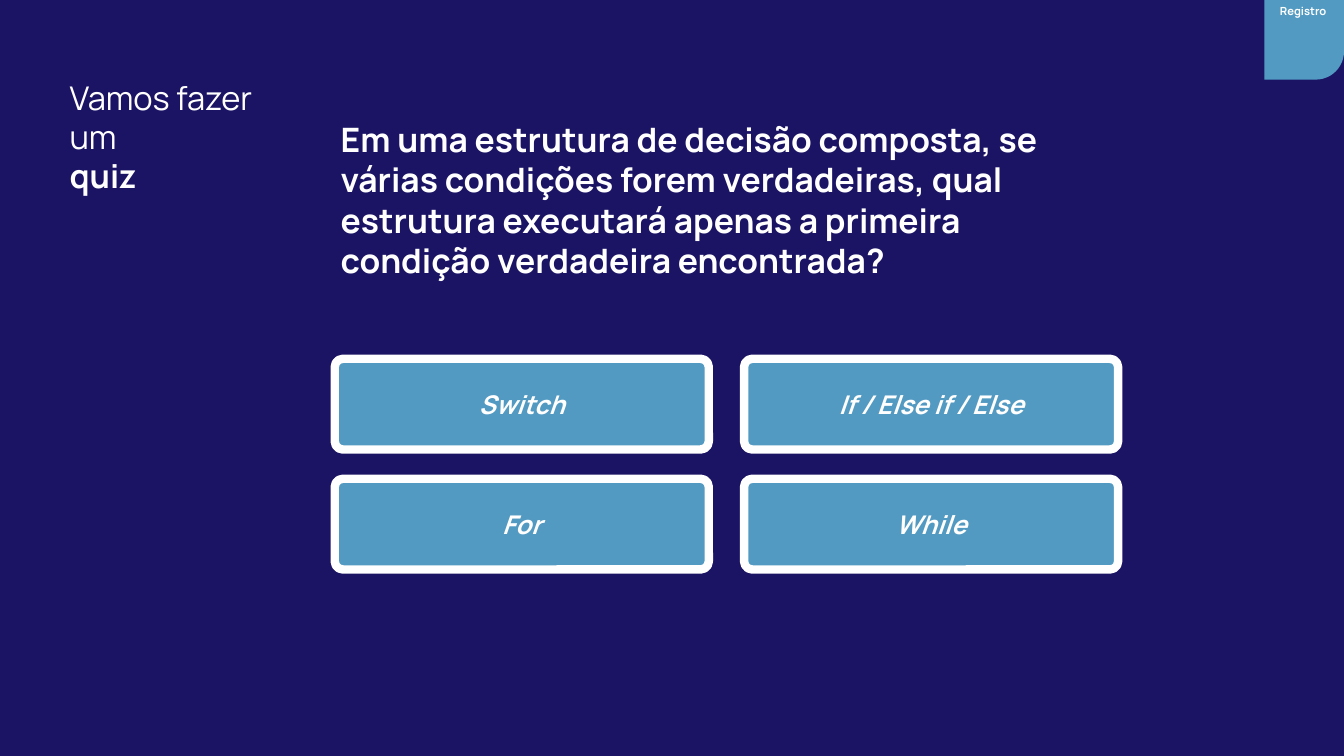
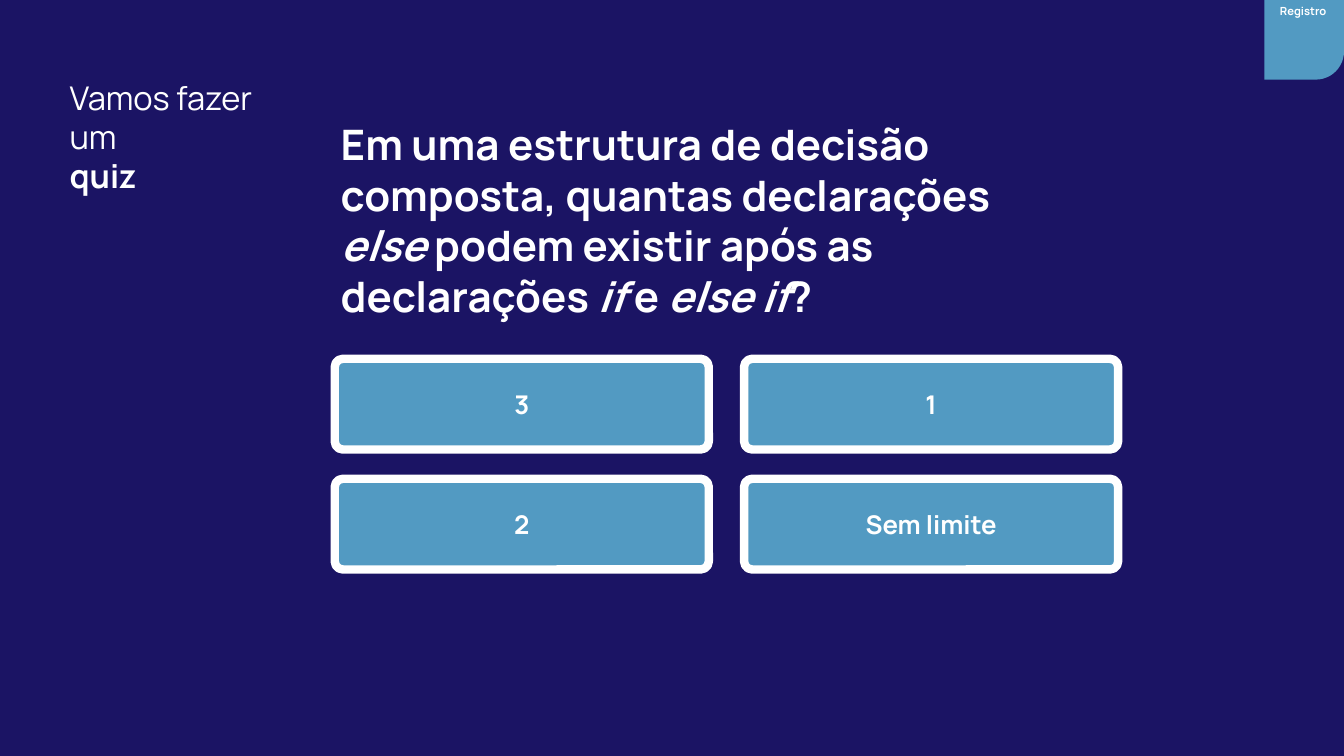
from dataclasses import dataclass

from pptx import Presentation
from pptx.dml.color import RGBColor
from pptx.enum.shapes import MSO_SHAPE
from pptx.enum.text import MSO_ANCHOR, PP_ALIGN
from pptx.util import Inches, Pt

ROUNDED = MSO_SHAPE.ROUNDED_RECTANGLE
ONE_ROUND_CORNER = MSO_SHAPE.ROUND_1_RECTANGLE
TOP, MIDDLE = MSO_ANCHOR.TOP, MSO_ANCHOR.MIDDLE
LEFT, CENTER = PP_ALIGN.LEFT, PP_ALIGN.CENTER
BLANK_LAYOUT = 6


@dataclass(frozen=True)
class Theme:
    font: str = "Manrope"
    navy: RGBColor = RGBColor(0x1B, 0x14, 0x64)
    blue: RGBColor = RGBColor(0x52, 0x9A, 0xC2)
    white: RGBColor = RGBColor(0xFF, 0xFF, 0xFF)
    heading_size: float = 23.3
    answer_size: float = 18.4
    tag_size: float = 8
    border: float = 6


SLIDE_WIDTH, SLIDE_HEIGHT = 13.33, 7.5
TAG_SIDE = 0.79
ANSWER_LEFT, ANSWER_TOP = 3.32, 3.56
ANSWER_WIDTH, ANSWER_HEIGHT = 3.71, 0.9
COLUMN_STEP, ROW_STEP = 4.06, 1.19

# Each question is a list of (text, italic) runs; answers fill the grid row by row.
QUIZ = [
    {
        "question": [
            ("Em uma estrutura de decisão composta, se várias condições forem "
             "verdadeiras, qual estrutura executará apenas a primeira condição "
             "verdadeira encontrada?", False),
        ],
        "size": 24,
        "width": 7.63,
        "answers": ["Switch", "If / Else if / Else", "For", "While"],
        "italic_answers": True,
    },
    {
        "question": [
            ("Em uma estrutura de decisão composta, quantas declarações ", False),
            ("else", True),
            (" podem existir após as declarações ", False),
            ("if", True),
            (" e ", False),
            ("else if", True),
            ("?", False),
        ],
        "size": 30,
        "width": 7.3,
        "answers": ["3", "1", "2", "Sem limite"],
        "italic_answers": False,
    },
]


class QuizDeck:
    def __init__(self, theme):
        self.theme = theme
        self.prs = Presentation()
        self.prs.slide_width = Inches(SLIDE_WIDTH)
        self.prs.slide_height = Inches(SLIDE_HEIGHT)
        self.slide = None

    def start_slide(self):
        """Open a slide with the background, heading and tag all slides share."""
        self.slide = self.prs.slides.add_slide(self.prs.slide_layouts[BLANK_LAYOUT])
        background = self.slide.background.fill
        background.solid()
        background.fore_color.rgb = self.theme.navy
        self.heading()
        self.tag()

    def style(self, paragraph, size, bold=True, italic=False, align=LEFT):
        paragraph.alignment = align
        font = paragraph.font
        font.name = self.theme.font
        font.size = Pt(size)
        font.bold = bold
        font.italic = italic
        font.color.rgb = self.theme.white

    def frame(self, shape, inset_x=0, inset_y=0, anchor=TOP):
        """Set wrapping, insets and anchor, and return the text frame."""
        frame = shape.text_frame
        frame.word_wrap = True
        frame.margin_left = frame.margin_right = Inches(inset_x)
        frame.margin_top = frame.margin_bottom = Inches(inset_y)
        frame.vertical_anchor = anchor
        return frame

    def text_box(self, left, top, width, height, inset_x=0, inset_y=0):
        box = self.slide.shapes.add_textbox(
            Inches(left), Inches(top), Inches(width), Inches(height))
        return self.frame(box, inset_x, inset_y)

    def panel(self, kind, left, top, width, height, corner):
        """Add a blue shape whose corner radius is given in inches."""
        panel = self.slide.shapes.add_shape(
            kind, Inches(left), Inches(top), Inches(width), Inches(height))
        panel.adjustments[0] = corner / min(width, height)
        panel.shadow.inherit = False
        panel.fill.solid()
        panel.fill.fore_color.rgb = self.theme.blue
        panel.line.fill.background()
        return panel

    def heading(self):
        frame = self.text_box(0.69, 0.77, 1.88, 1.18)
        invitation = frame.paragraphs[0]
        invitation.text = "Vamos fazer um"
        self.style(invitation, self.theme.heading_size, bold=False)
        quiz = frame.add_paragraph()
        quiz.text = "quiz"
        self.style(quiz, self.theme.heading_size)

    def tag(self):
        left = SLIDE_WIDTH - TAG_SIDE
        corner_tab = self.panel(ONE_ROUND_CORNER, left, 0, TAG_SIDE, TAG_SIDE, 0.28)
        corner_tab.rotation = 90
        label = self.text_box(left, 0, 0.77, 0.21, 0.07, 0.03).paragraphs[0]
        label.text = "Registro"
        label.line_spacing = 1.07
        self.style(label, self.theme.tag_size, align=CENTER)

    def question(self, runs, size, width):
        paragraph = self.text_box(3.31, 1.15, width, 1.2, 0.07, 0.03).paragraphs[0]
        self.style(paragraph, size)
        for text, italic in runs:
            run = paragraph.add_run()
            run.text = text
            run.font.italic = italic

    def answer(self, text, left, top, italic):
        button = self.panel(ROUNDED, left, top, ANSWER_WIDTH, ANSWER_HEIGHT, 0.08)
        button.line.color.rgb = self.theme.white
        button.line.width = Pt(self.theme.border)
        label = self.frame(button, inset_x=0.33, anchor=MIDDLE).paragraphs[0]
        label.text = text
        self.style(label, self.theme.answer_size, italic=italic, align=CENTER)

    def answer_grid(self, answers, italic):
        for index, text in enumerate(answers):
            row, column = divmod(index, 2)
            self.answer(text, ANSWER_LEFT + column * COLUMN_STEP,
                        ANSWER_TOP + row * ROW_STEP, italic)


def main():
    deck = QuizDeck(Theme())
    for item in QUIZ:
        deck.start_slide()
        deck.question(item["question"], item["size"], item["width"])
        deck.answer_grid(item["answers"], item["italic_answers"])
    deck.prs.save("out.pptx")


if __name__ == "__main__":
    main()
